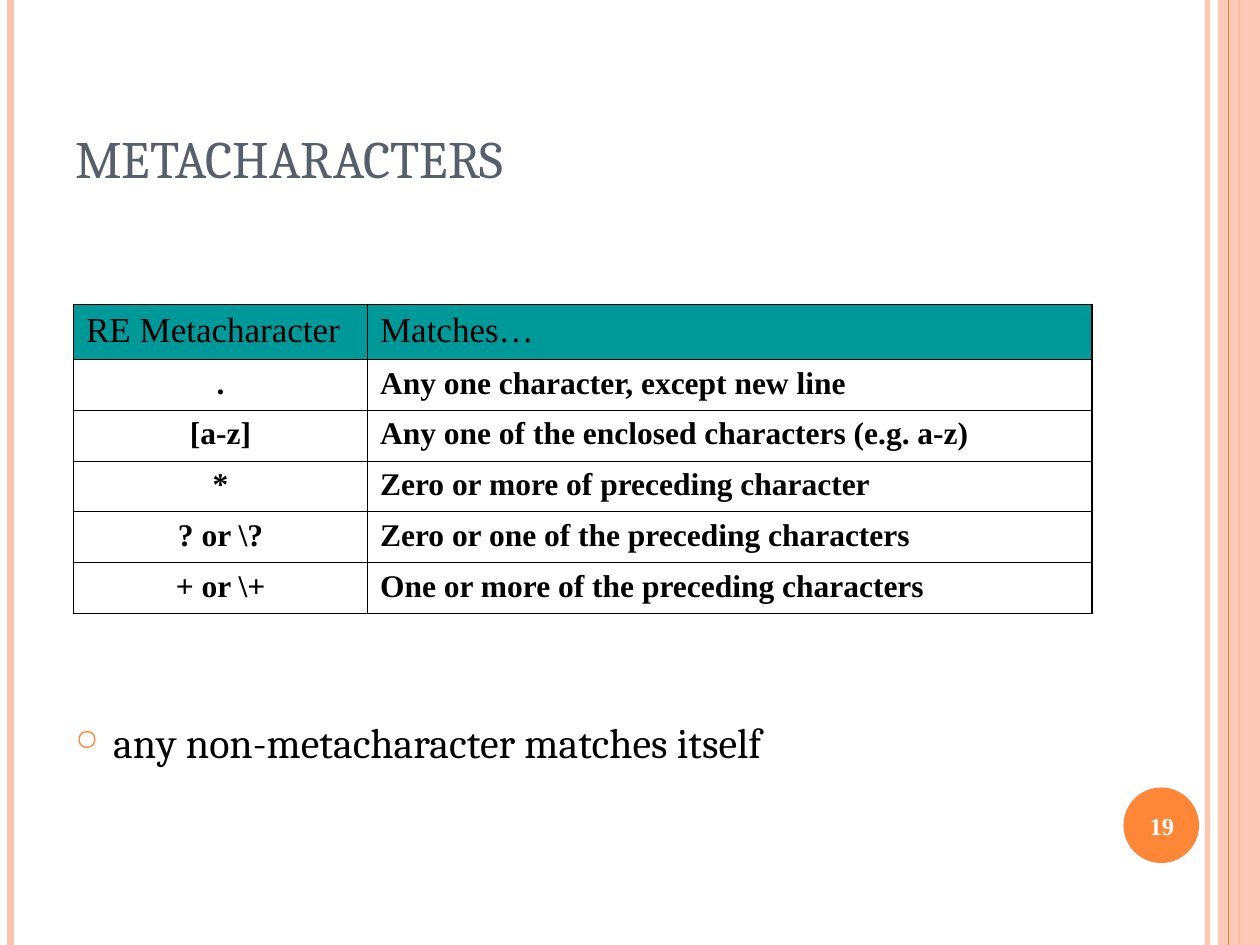
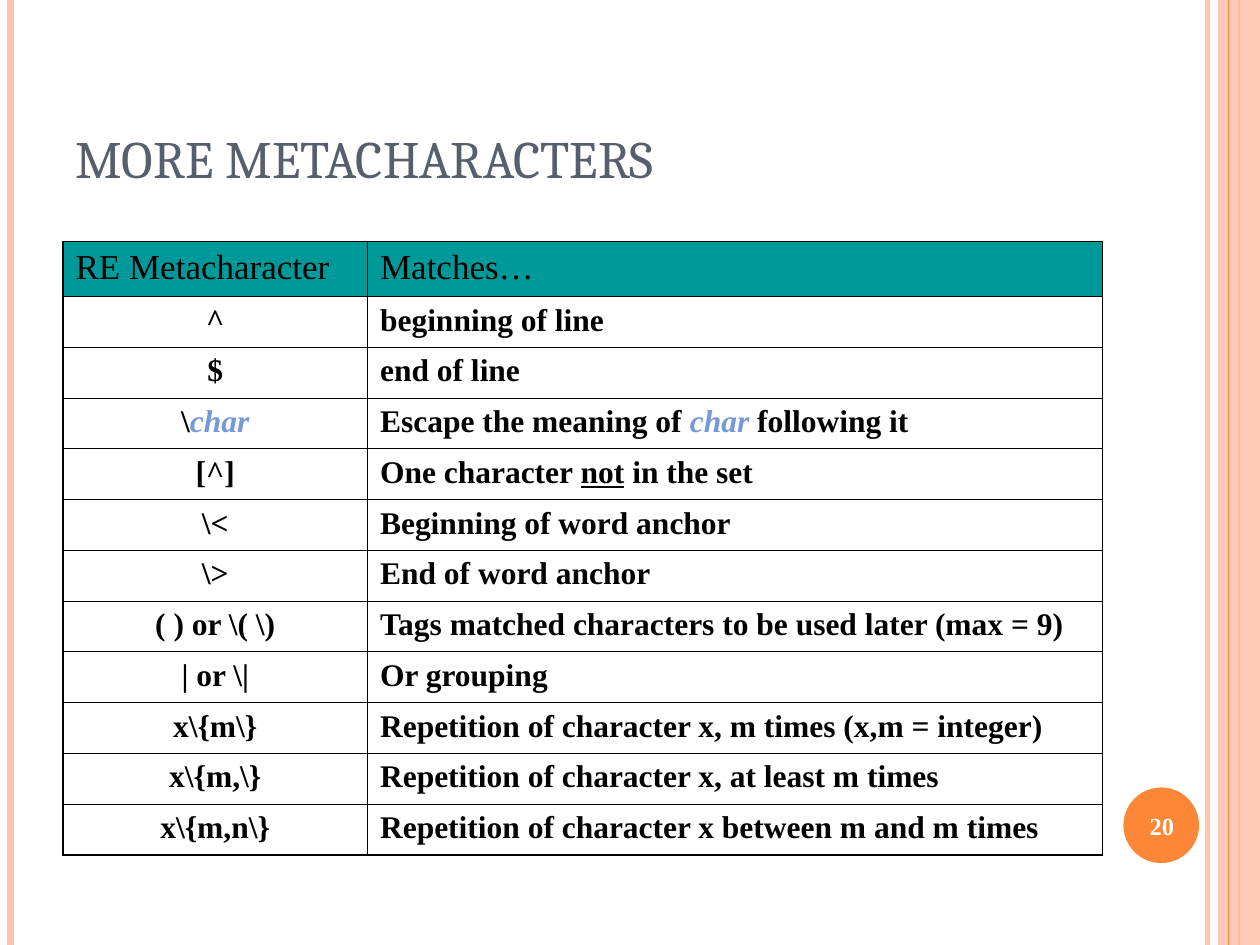
from lxml import etree
from pptx import Presentation
from pptx.dml.color import RGBColor
from pptx.enum import shapes, text
from pptx.oxml import ns
from pptx.util import Pt

SLIDE_W, SLIDE_H = 720, 540
ORANGE, PEACH, SLATE = "FE8637", "FEC3AE", "575F6D"
TEAL, BLUE, BLACK, WHITE = "009999", "7598D9", "000000", "FFFFFF"
SERIF, TABLE_FONT = "Cambria", "Times New Roman"
OUTER, INNER = 1.08, 0.45
HEADER_H, ROW_H = 31.5, 29

# x, weight, colour, opacity in percent
RULES = [(690, 3, PEACH, 93), (6, 4.5, PEACH, 100), (708, 1.5, ORANGE, 100)]
FRONT_RULE = (702, 0.75, ORANGE, 100)

HEADINGS = ("RE Metacharacter", "Matches…")
CHAR = {"color": BLUE, "italic": True}
BASIC_ROWS = [
    (".", "Any one character, except new line"),
    ("[a-z]", "Any one of the enclosed characters (e.g. a-z)"),
    ("*", "Zero or more of preceding character"),
    ("? or \\?", "Zero or one of the preceding characters"),
    ("+ or \\+", "One or more of the preceding characters"),
]
MORE_ROWS = [
    ("^", "beginning of line"),
    ("$", "end of line"),
    ([("\\", {}), ("char", CHAR)],
     [("Escape the meaning of ", {}), ("char ", CHAR), ("following it", {})]),
    ("[^]", [("One character ", {}), ("not", {"underline": True}), (" in the set", {})]),
    ("\\<", "Beginning of word anchor"),
    ("\\>", "End of word anchor"),
    ("( ) or \\( \\)", "Tags matched characters to be used later (max = 9)"),
    ("| or \\|", "Or grouping"),
    ("x\\{m\\}", "Repetition of character x, m times (x,m = integer)"),
    ("x\\{m,\\}", "Repetition of character x, at least m times"),
    ("x\\{m,n\\}", "Repetition of character x between m and m times"),
]


def rgb(value):
    return RGBColor.from_string(value)


def sub(parent, tag, **attributes):
    return etree.SubElement(parent, ns.qn(tag), attributes)


def set_opacity(properties, percent):
    """Apply opacity to the first solid colour inside the given properties."""
    color = properties.find(".//" + ns.qn("a:srgbClr"))
    sub(color, "a:alpha", val=str(percent * 1000))


def add_run(paragraph, words, font, size, color, bold=False, italic=False, underline=False):
    run = paragraph.add_run()
    run.text = words
    run.font.name, run.font.size = font, Pt(size)
    run.font.bold, run.font.italic, run.font.underline = bold, italic, underline
    run.font.color.rgb = rgb(color)


def add_text(slide, box, anchor=text.MSO_ANCHOR.TOP):
    frame = slide.shapes.add_textbox(*map(Pt, box)).text_frame
    frame.word_wrap = True
    frame.vertical_anchor = anchor
    return frame.paragraphs[0]


def add_rule(slide, x, weight, color, opacity):
    rule = slide.shapes.add_connector(
        shapes.MSO_CONNECTOR.STRAIGHT, Pt(x), 0, Pt(x), Pt(SLIDE_H))
    rule.line.width = Pt(weight)
    rule.line.color.rgb = rgb(color)
    properties = rule._element.spPr
    if opacity < 100:
        set_opacity(properties, opacity)
    sub(properties, "a:effectLst")


def add_filled(slide, preset, box, color):
    shape = slide.shapes.add_shape(preset, *map(Pt, box))
    shape.shadow.inherit = False
    shape.fill.solid()
    shape.fill.fore_color.rgb = rgb(color)
    shape.line.fill.background()
    return shape


def add_frame(slide):
    """Draw the side rules, the right band and the page number disc."""
    for rule in RULES:
        add_rule(slide, *rule)
    band = add_filled(slide, shapes.MSO_SHAPE.RECTANGLE, (696, 0, SLIDE_W - 696, SLIDE_H), PEACH)
    set_opacity(band._element.spPr, 87)
    add_rule(slide, *FRONT_RULE)
    add_filled(slide, shapes.MSO_SHAPE.OVAL, (642, 450, 43.2, 43.2), ORANGE)


def add_title(slide, title):
    paragraph = add_text(slide, (36, 21.6, 588, 90), text.MSO_ANCHOR.BOTTOM)
    add_run(paragraph, title, SERIF, 30, SLATE)


def add_page_number(slide, number):
    paragraph = add_text(slide, (640, 451.5, 48, 41), text.MSO_ANCHOR.MIDDLE)
    paragraph.alignment = text.PP_ALIGN.CENTER
    add_run(paragraph, str(number), TABLE_FONT, 14, WHITE, bold=True)


def add_bullet(slide, box, words):
    paragraph = add_text(slide, box)
    properties = paragraph._p.get_or_add_pPr()
    properties.set("marL", str(Pt(21.6)))
    properties.set("indent", str(-Pt(21.6)))
    sub(sub(properties, "a:buClr"), "a:srgbClr", val=ORANGE)
    sub(properties, "a:buSzPct", val="70000")
    sub(properties, "a:buChar", char="○")
    add_run(paragraph, words, SERIF, 24, BLACK)


def set_borders(cell, **weights):
    """Draw the cell's sides L, R, T and B in the given weights."""
    properties = cell._tc.get_or_add_tcPr()
    for side, weight in weights.items():
        line = sub(properties, "a:ln" + side, w=str(Pt(weight)))
        sub(sub(line, "a:solidFill"), "a:srgbClr", val=BLACK)


def fill_cell(cell, content, is_header, centred):
    if is_header:
        cell.fill.solid()
        cell.fill.fore_color.rgb = rgb(TEAL)
    else:
        cell.fill.background()
    paragraph = cell.text_frame.paragraphs[0]
    paragraph.space_before = Pt(5 if is_header else 4.5)
    paragraph.alignment = text.PP_ALIGN.CENTER if centred else text.PP_ALIGN.LEFT
    base = {"font": TABLE_FONT, "size": 20 if is_header else 18,
            "color": BLACK, "bold": not is_header}
    pieces = [(content, {})] if isinstance(content, str) else content
    for words, style in pieces:
        add_run(paragraph, words, **{**base, **style})


def add_metacharacters(slide, left, top, widths, body_rows, bottom_edge):
    rows = [HEADINGS] + body_rows
    last_row, last_column = len(rows) - 1, len(widths) - 1
    height = HEADER_H + ROW_H * last_row
    table = slide.shapes.add_table(
        len(rows), len(widths), Pt(left), Pt(top), Pt(sum(widths)), Pt(height)).table
    table.first_row = table.horz_banding = False
    for column, width in zip(table.columns, widths):
        column.width = Pt(width)
    for r, row in enumerate(rows):
        table.rows[r].height = Pt(ROW_H if r else HEADER_H)
        for c, content in enumerate(row):
            cell = table.cell(r, c)
            set_borders(cell,
                        L=INNER if c else OUTER,
                        R=OUTER if c == last_column else INNER,
                        T=INNER if r else OUTER,
                        B=bottom_edge if r == last_row else INNER)
            fill_cell(cell, content, is_header=r == 0, centred=r > 0 and c == 0)


def add_slide(deck, title, number):
    slide = deck.slides.add_slide(deck.slide_layouts[6])
    add_frame(slide)
    add_title(slide, title)
    add_page_number(slide, number)
    return slide


def main():
    deck = Presentation()
    deck.slide_width, deck.slide_height = Pt(SLIDE_W), Pt(SLIDE_H)

    basic = add_slide(deck, "METACHARACTERS", 19)
    add_bullet(basic, (36, 406, 588, 36), "any non-metacharacter matches itself")
    add_metacharacters(basic, 42, 174, (168, 414), BASIC_ROWS, bottom_edge=INNER)

    more = add_slide(deck, "MORE METACHARACTERS", 20)
    add_metacharacters(more, 36, 138, (174, 420), MORE_ROWS, bottom_edge=OUTER)

    deck.save("out.pptx")


if __name__ == "__main__":
    main()
